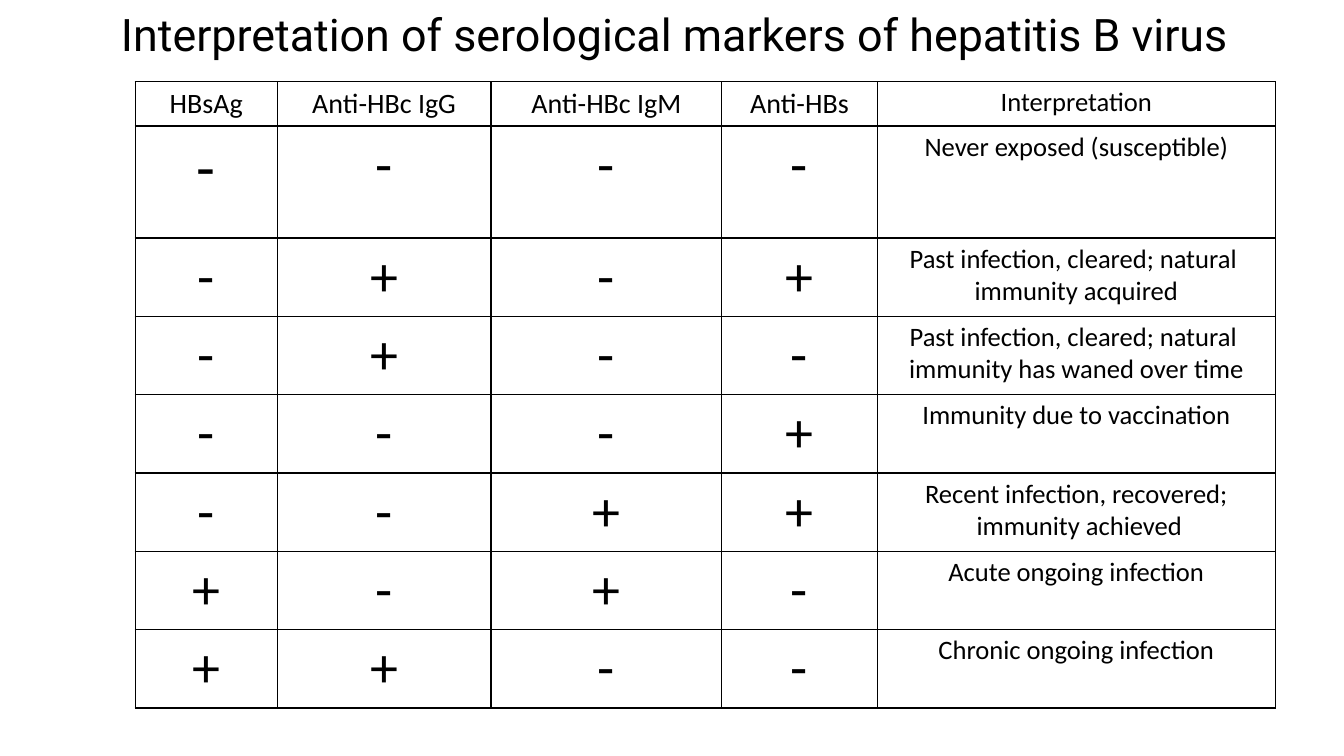
from dataclasses import dataclass
from typing import Any

from lxml import etree
from pptx import Presentation, util as u
from pptx.dml import color
from pptx.enum import text
from pptx.oxml import ns


@dataclass(frozen=True)
class Theme:
    ink: str = "000000"
    paper: str = "FFFFFF"
    display: str = "Roboto"
    body: str = "Calibri"
    title: int = 32
    head: int = 20
    note: int = 19
    mark: int = 40
    first: int = 44
    rule: float = 1


@dataclass(frozen=True)
class Case:
    marks: str
    note: str


THEME = Theme()
HEADS = ("HBsAg", "Anti-HBc IgG", "Anti-HBc IgM", "Anti-HBs", "Interpretation")
CASES = (
    Case("----", "Never exposed (susceptible)"),
    Case("-+-+", "Past infection, cleared; natural \nimmunity acquired"),
    Case("-+--", "Past infection, cleared; natural \nimmunity has waned over time"),
    Case("---+", "Immunity due to vaccination"),
    Case("--++", "Recent infection, recovered;\n immunity achieved"),
    Case("+-+-", "Acute ongoing infection"),
    Case("++--", "Chronic ongoing infection"),
)
WIDTHS = (1.41, 2.12, 2.29, 1.54, 3.95)
HEIGHTS = (0.44, 1.11) + (0.77,) * (len(CASES) - 1)


def apply(item: Any, form: dict[str, Any]) -> None:
    for name, value in form.items():
        setattr(item, name, value)


def write(frame: Any, words: str, face: str, size: int) -> None:
    frame.text = words
    for para in frame.paragraphs:
        para.alignment = text.PP_ALIGN.CENTER
        for run in para.runs:
            apply(run.font, {"name": face, "size": u.Pt(size), "bold": False})
            run.font.color.rgb = color.RGBColor.from_string(THEME.ink)


def border(cell: Any) -> None:
    props = cell._tc.get_or_add_tcPr()
    for spot, side in enumerate("LRTB"):
        line = etree.Element(ns.qn(f"a:ln{side}"), w=str(u.Pt(THEME.rule)))
        fill = etree.SubElement(line, ns.qn("a:solidFill"))
        etree.SubElement(fill, ns.qn("a:srgbClr"), val=THEME.ink)
        props.insert(spot, line)


def put(cell: Any, words: str, size: int) -> None:
    write(cell.text_frame, words, THEME.body, size)
    cell.fill.solid()
    cell.fill.fore_color.rgb = color.RGBColor.from_string(THEME.paper)
    border(cell)


def head(slide: Any) -> None:
    title = slide.shapes.title
    apply(title, {
        "left": u.Inches(0.33), "top": u.Inches(0),
        "width": u.Inches(12.73), "height": u.Inches(0.67),
    })
    apply(title.text_frame, {
        "word_wrap": True, "auto_size": text.MSO_AUTO_SIZE.NONE,
        "vertical_anchor": text.MSO_ANCHOR.MIDDLE,
        "margin_left": u.Inches(0.13), "margin_right": u.Inches(0.13),
        "margin_top": u.Inches(0.07), "margin_bottom": u.Inches(0.07),
    })
    words = "Interpretation of serological markers of hepatitis B virus"
    write(title.text_frame, words, THEME.display, THEME.title)


def grid(slide: Any) -> None:
    table = slide.shapes.add_table(
        len(HEIGHTS), len(WIDTHS), u.Inches(1.34), u.Inches(0.81),
        u.Inches(sum(WIDTHS)), u.Inches(sum(HEIGHTS)),
    ).table
    apply(table, {"first_row": False, "horz_banding": False})
    for col, width in zip(table.columns, WIDTHS):
        col.width = u.Inches(width)
    for row, height in zip(table.rows, HEIGHTS):
        row.height = u.Inches(height)
    last = len(HEADS) - 1
    for col, words in enumerate(HEADS):
        put(table.cell(0, col), words, THEME.note if col == last else THEME.head)
    for row, case in enumerate(CASES, 1):
        for col, mark in enumerate(case.marks):
            size = THEME.first if (row, col) == (1, 0) else THEME.mark
            put(table.cell(row, col), mark, size)
        put(table.cell(row, last), case.note, THEME.note)


def main() -> None:
    deck = Presentation()
    apply(deck, {"slide_width": u.Inches(13.33), "slide_height": u.Inches(7.5)})
    slide = deck.slides.add_slide(deck.slide_layouts.get_by_name("Title Only"))
    head(slide)
    grid(slide)
    deck.save("out.pptx")


if __name__ == "__main__":
    main()
